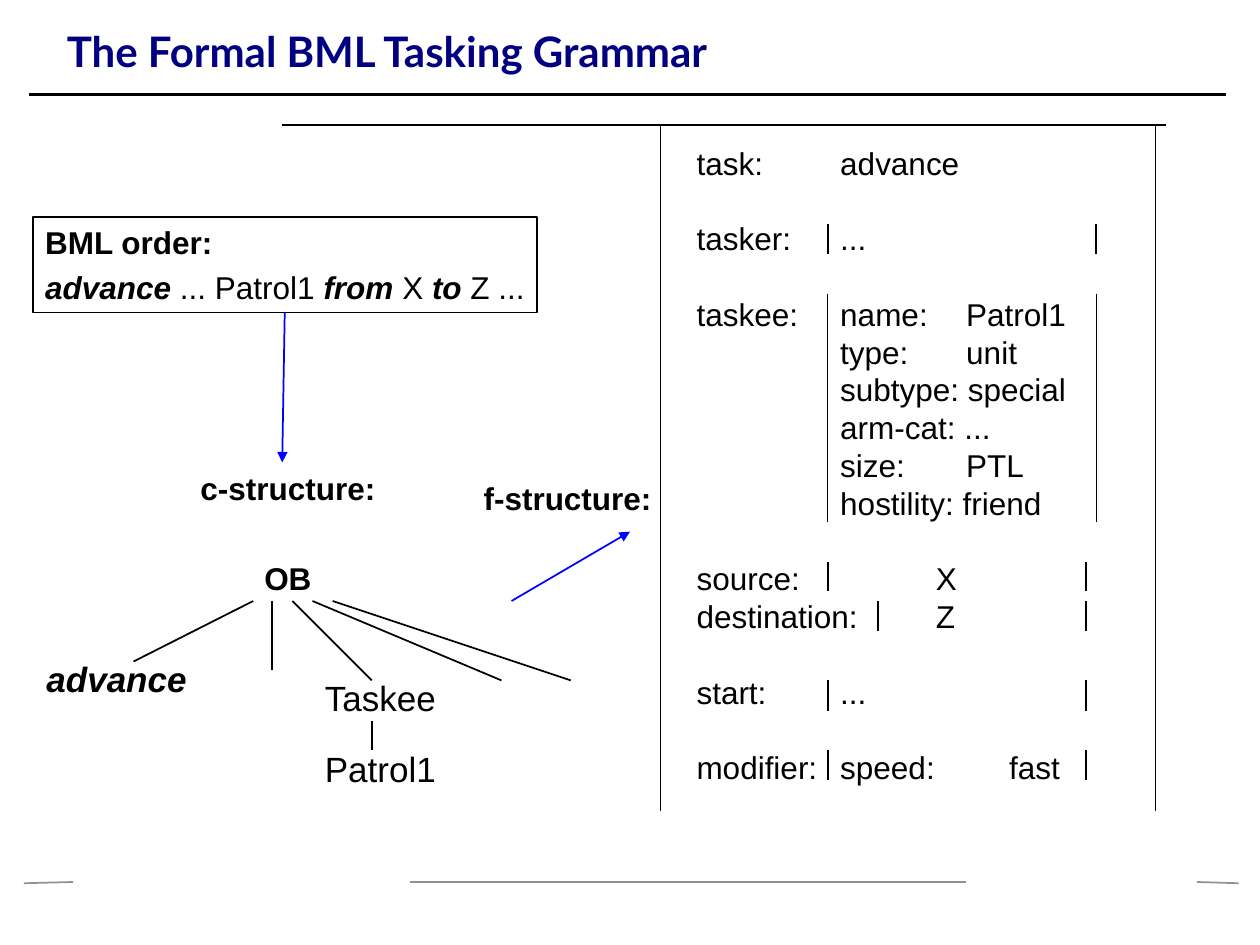
"""Build the slide on the formal BML tasking grammar."""
from dataclasses import dataclass
from typing import Optional

from lxml.etree import SubElement
from pptx import Presentation
from pptx.dml.color import RGBColor
from pptx.enum.shapes import MSO_CONNECTOR as Connector, MSO_SHAPE as Preset
from pptx.enum.text import MSO_ANCHOR as Anchor, MSO_AUTO_SIZE as AutoSize, PP_ALIGN as Align
from pptx.oxml.ns import qn
from pptx.util import Inches, Pt

BLACK = RGBColor(0x00, 0x00, 0x00)
BLUE = RGBColor(0x00, 0x00, 0xFF)
NAVY = RGBColor(0x00, 0x00, 0x80)
GRAY = RGBColor(0x91, 0x91, 0x91)

BLANK_LINE = 21.6
VALUE, NESTED, PLACE, SPEED = 1.14, 2.14, 1.9, 2.48
BRANCH_TOP = 4.77


@dataclass(frozen=True)
class Run:
    text: str
    bold: Optional[bool] = None
    italic: Optional[bool] = None


@dataclass(frozen=True)
class Line:
    runs: tuple[Run, ...]
    before: float = 0
    after: float = 0
    tabs: tuple[float, ...] = ()


@dataclass(frozen=True)
class Stroke:
    start: tuple[float, float]
    end: tuple[float, float]
    color: RGBColor = BLACK
    width: float = 1
    arrow: bool = False


def plain(text: str, before: float = 0, tabs: tuple[float, ...] = ()) -> Line:
    return Line((Run(text),), before, tabs=tabs)


def place(shape, left: float, top: float, width: float, height: float) -> None:
    shape.left, shape.top = Inches(left), Inches(top)
    shape.width, shape.height = Inches(width), Inches(height)


def write(shape, lines: list[Line], *, size: float = 18, font: str = "Arial",
          color: RGBColor = BLACK, bold: bool = False, italic: bool = False,
          align: Align = Align.LEFT, anchor: Anchor = Anchor.TOP, wrap: bool = False) -> None:
    frame = shape.text_frame
    frame.auto_size = AutoSize.NONE
    frame.word_wrap = wrap
    frame.vertical_anchor = anchor
    for index, line in enumerate(lines):
        paragraph = frame.paragraphs[0] if index == 0 else frame.add_paragraph()
        paragraph.alignment = align
        paragraph.space_before, paragraph.space_after = Pt(line.before), Pt(line.after)
        if line.tabs:
            stops = SubElement(paragraph._p.get_or_add_pPr(), qn("a:tabLst"))
            for stop in line.tabs:
                SubElement(stops, qn("a:tab"), pos=str(Inches(stop)), algn="l")
        for part in line.runs:
            run = paragraph.add_run()
            run.text = part.text
            run.font.name, run.font.size = font, Pt(size)
            run.font.color.rgb = color
            run.font.bold = bold if part.bold is None else part.bold
            run.font.italic = italic if part.italic is None else part.italic


def add_text(slide, box: tuple[float, float, float, float], lines: list[Line], **style):
    textbox = slide.shapes.add_textbox(*map(Inches, box))
    write(textbox, lines, **style)
    return textbox


def draw(slide, stroke: Stroke):
    ends = map(Inches, (*stroke.start, *stroke.end))
    connector = slide.shapes.add_connector(Connector.STRAIGHT, *ends)
    connector.line.color.rgb = stroke.color
    connector.line.width = Pt(stroke.width)
    if stroke.arrow:
        SubElement(connector.line._get_or_add_ln(), qn("a:tailEnd"), type="triangle")
    SubElement(connector._element.spPr, qn("a:effectLst"))
    return connector


def bar(x: float, top: float, bottom: float, width: float = 1) -> Stroke:
    return Stroke((x, top), (x, bottom), width=width)


FRAME = [
    Stroke((3.25, 7), (7.67, 7), GRAY),
    Stroke((0.19, 7.01), (0.58, 7), GRAY),
    Stroke((0.23, 0.75), (9.73, 0.75), width=2),
    Stroke((9.5, 7), (9.83, 7.01), GRAY),
]
FEATURES = [
    plain("task:\tadvance", tabs=(VALUE,)),
    plain("tasker:\t...", BLANK_LINE, (VALUE,)),
    plain("taskee:\tname:\tPatrol1", BLANK_LINE, (VALUE, NESTED)),
    plain("\ttype:\tunit", tabs=(VALUE, NESTED)),
    plain("\tsubtype: special", tabs=(VALUE,)),
    plain("\tarm-cat: ...", tabs=(VALUE,)),
    plain("\tsize:\tPTL", tabs=(VALUE, NESTED)),
    plain("\thostility: friend", tabs=(VALUE,)),
    plain("source:\tX", BLANK_LINE, (PLACE,)),
    plain("destination:\tZ", tabs=(PLACE,)),
    plain("start:\t...", BLANK_LINE, (VALUE,)),
    plain("modifier:\tspeed:\tfast", BLANK_LINE, (VALUE, SPEED)),
]
BRACKETS = [
    (6.57, 8.7, 1.78, 2.02, 1),
    (6.57, 8.7, 2.33, 4.14, 0.75),
    (6.57, 8.62, 4.46, 4.69, 1),
    (6.97, 8.62, 4.77, 5.01, 1),
    (6.57, 8.62, 5.4, 5.64, 1),
    (6.57, 8.62, 5.95, 6.19, 1),
]
BRANCHES = [(2.01, 1.06, 5.25), (2.16, 2.16, 5.32), (2.32, 2.95, 5.4),
            (2.48, 3.98, 5.4), (2.64, 4.53, 5.4)]
ORDER = [
    Line((Run("BML order:", bold=True),), after=2.2),
    Line((Run("advance", True, True), Run(" ... Patrol1 "), Run("from", True, True),
          Run(" X "), Run("to", True, True), Run(" Z ...")), before=2.2),
]


def main() -> None:
    deck = Presentation()
    deck.slide_width, deck.slide_height = Inches(10), Inches(7.5)
    slide = deck.slides.add_slide(deck.slide_layouts[5])

    title = slide.shapes.title
    place(title, 0.43, 0.08, 9, 0.64)
    write(title, [plain("The Formal BML Tasking Grammar")], size=24, font="Lato",
          color=NAVY, bold=True, anchor=Anchor.MIDDLE, wrap=True)

    for stroke in FRAME:
        draw(slide, stroke)

    add_text(slide, (5.43, 1.09, 3.35, 5.5), FEATURES, wrap=True)
    draw(slide, Stroke((2.24, 0.99), (9.25, 0.99)))
    for edge in (5.24, 9.17):
        draw(slide, bar(edge, 0.99, 6.44, 0.75))
    for left, right, top, bottom, width in BRACKETS:
        for x in (left, right):
            draw(slide, bar(x, top, bottom, width))

    order = slide.shapes.add_shape(Preset.RECTANGLE, *map(Inches, (0.26, 1.72, 4, 0.76)))
    order.shadow.inherit = False
    order.fill.background()
    order.line.color.rgb, order.line.width = BLACK, Pt(1)
    write(order, ORDER)
    to_c_structure = draw(slide, Stroke((2.26, 2.48), (2.24, 3.67), BLUE, arrow=True))
    to_c_structure.begin_connect(order, 2)
    draw(slide, Stroke((4.06, BRANCH_TOP), (5, 4.22), BLUE, arrow=True))

    add_text(slide, (1.49, 3.67, 1.59, 1.13), [plain("c-structure:"), plain("OB", 30)],
             bold=True, align=Align.CENTER)
    add_text(slide, (3.74, 3.75, 1.54, 0.4), [plain("f-structure:")], bold=True)
    for start, end, bottom in BRANCHES:
        draw(slide, Stroke((start, BRANCH_TOP), (end, bottom)))
    draw(slide, bar(2.95, 5.72, 5.95))
    add_text(slide, (0.27, 5.17, 1.32, 0.43), [plain("advance")], size=20, bold=True, italic=True)
    for word, top in (("Taskee", 5.32), ("Patrol1", 5.88)):
        add_text(slide, (2.48, top, 1.1, 0.43), [plain(word)], size=20)

    deck.save("out.pptx")


if __name__ == "__main__":
    main()
